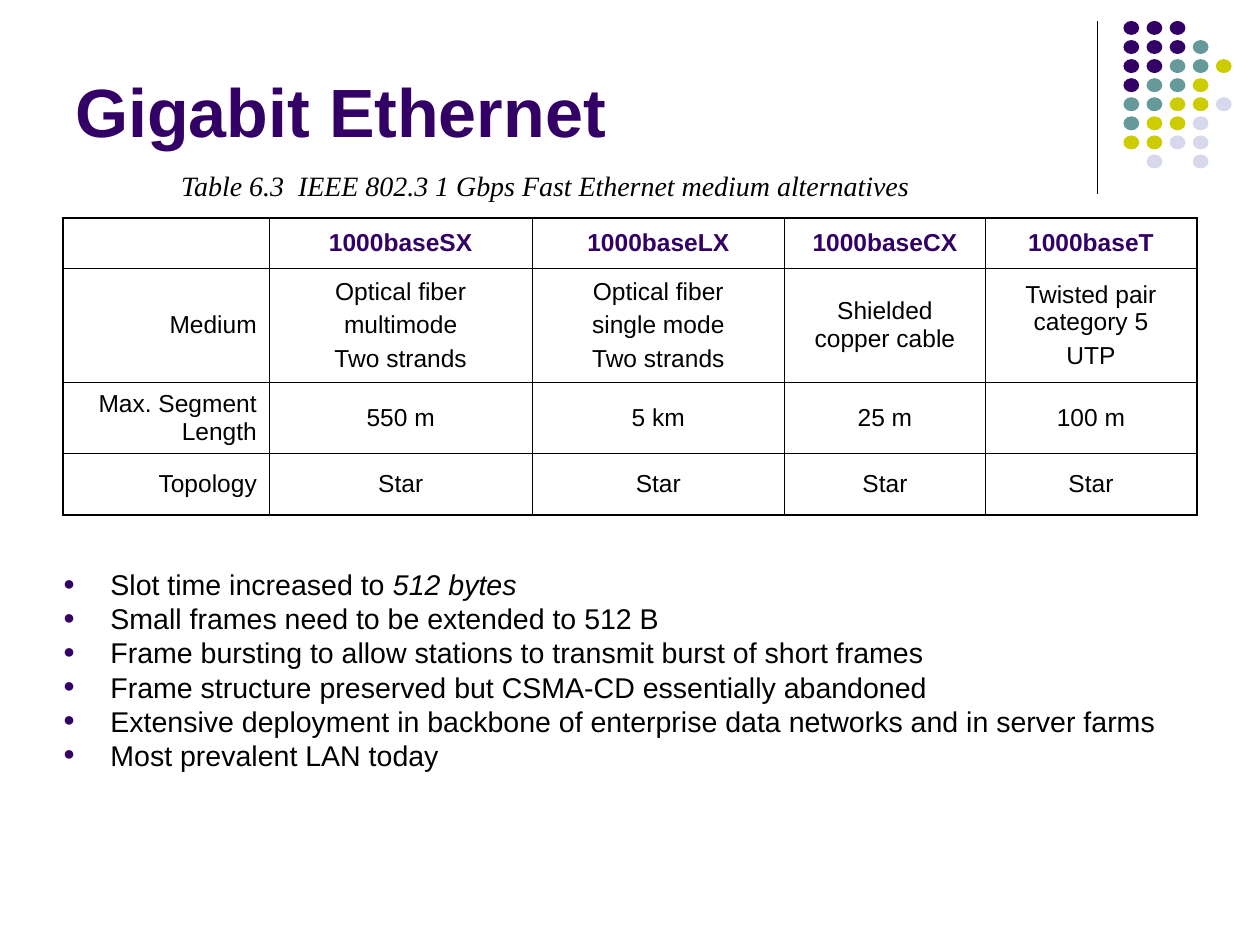
from lxml import etree
from pptx import Presentation
from pptx.dml.color import RGBColor
from pptx.enum import shapes, text
from pptx.oxml import ns
from pptx.util import Pt

COLORS = {"purple": "330066", "teal": "669999", "olive": "CCCC00",
          "lilac": "D8D8EC", "black": "000000"}
CENTER, RIGHT = text.PP_ALIGN.CENTER, text.PP_ALIGN.RIGHT
MIDDLE, BOTTOM = text.MSO_ANCHOR.MIDDLE, text.MSO_ANCHOR.BOTTOM

TITLE = {"name": "Arial", "size": Pt(39), "bold": True, "color": "purple"}
CAPTION = {"name": "Times New Roman", "size": Pt(16), "italic": True, "color": "black"}
HEADER = {"name": "Arial", "size": Pt(14), "bold": True, "color": "purple"}
CELL = {"name": "Arial", "size": Pt(14), "bold": False, "color": "black"}
BODY = {"name": "Arial", "size": Pt(16.3), "color": "black"}
EMPHASIS = {**BODY, "italic": True}

DOT_COLORS = {"P": "purple", "T": "teal", "O": "olive", "L": "lilac"}
DOT_ROWS = ["PPP", "PPPT", "PPTTO", "PTTO", "TTOOL", "TOOL", "OOLL", ".L.L"]

COLUMN_WIDTHS = [118, 150, 144.5, 114.5, 121]
ROW_HEIGHTS = [28.5, 65, 40.5, 35]
TABLE_ROWS = [
    ["", "1000baseSX", "1000baseLX", "1000baseCX", "1000baseT"],
    ["Medium", "Optical fiber\nmultimode\nTwo strands",
     "Optical fiber\nsingle mode\nTwo strands", "Shielded copper cable",
     "Twisted pair category 5\nUTP"],
    ["Max. Segment Length", "550 m", "5 km", "25 m", "100 m"],
    ["Topology", "Star", "Star", "Star", "Star"],
]
# First-line indents that pull a centred line to the left
FIRST_LINE_INDENTS = {(1, 1): -3.9, (1, 2): -11.7}

BULLETS = [
    [("Slot time increased to ", BODY), ("512 bytes", EMPHASIS)],
    [("Small frames need to be extended to 512 B", BODY)],
    [("Frame bursting to allow stations to transmit burst of short frames", BODY)],
    [("Frame structure preserved but CSMA-CD essentially abandoned", BODY)],
    [("Extensive deployment in backbone of enterprise data networks"
      " and in server farms", BODY)],
    [("Most prevalent LAN today", BODY)],
]


def rgb(name):
    return RGBColor.from_string(COLORS[name])


def add_element(parent, tag, **attributes):
    element = etree.SubElement(parent, ns.qn(tag))
    for key, value in attributes.items():
        element.set(key, str(value))
    return element


def add_span(para, words, style):
    span = para.add_run()
    span.text = words
    for key, value in style.items():
        if key == "color":
            span.font.color.rgb = rgb(value)
        else:
            setattr(span.font, key, value)


def add_box(page, left, top, width, height, **frame_format):
    box = page.shapes.add_textbox(Pt(left), Pt(top), Pt(width), Pt(height))
    for key, value in {"word_wrap": True, **frame_format}.items():
        setattr(box.text_frame, key, value)
    return box.text_frame


def add_divider(page, x, top, bottom):
    line = page.shapes.add_connector(
        shapes.MSO_CONNECTOR.STRAIGHT, Pt(x), Pt(top), Pt(x), Pt(bottom))
    line.line.color.rgb = rgb("black")
    line.line.width = Pt(0.75)
    add_element(line._element.spPr, "a:effectLst")


def add_dots(page, left, top, step_x, step_y):
    group = page.shapes.add_group_shape()
    for row, letters in enumerate(DOT_ROWS):
        for column, letter in enumerate(letters):
            if letter not in DOT_COLORS:
                continue
            dot = group.shapes.add_shape(
                shapes.MSO_SHAPE.OVAL, Pt(left + column * step_x),
                Pt(top + row * step_y), Pt(9), Pt(8))
            dot.shadow.inherit = False
            dot.fill.solid()
            dot.fill.fore_color.rgb = rgb(DOT_COLORS[letter])
            dot.line.fill.background()


def set_borders(cell, outer_sides):
    """Draw all four sides, heavier where the cell meets the table edge."""
    properties = cell._tc.get_or_add_tcPr()
    for side in "LRTB":
        width = Pt(1.08 if side in outer_sides else 0.45)
        border = add_element(properties, f"a:ln{side}", w=width)
        fill = add_element(border, "a:solidFill")
        add_element(fill, "a:srgbClr", val=COLORS["black"])


def fill_cell(cell, words, style, alignment, first_indent):
    cell.vertical_anchor = MIDDLE
    for index, line in enumerate(words.split("\n") if words else []):
        frame = cell.text_frame
        para = frame.add_paragraph() if index else frame.paragraphs[0]
        para.alignment = alignment
        para.space_before = Pt(3.5)
        add_span(para, line, style)
        if index == 0 and first_indent:
            para._p.get_or_add_pPr().set("indent", str(Pt(first_indent)))


def add_media_table(page, left, top):
    table = page.shapes.add_table(
        len(ROW_HEIGHTS), len(COLUMN_WIDTHS), Pt(left), Pt(top),
        Pt(sum(COLUMN_WIDTHS)), Pt(sum(ROW_HEIGHTS))).table
    table.first_row = table.horz_banding = False
    for column, width in zip(table.columns, COLUMN_WIDTHS):
        column.width = Pt(width)
    last_row, last_column = len(ROW_HEIGHTS) - 1, len(COLUMN_WIDTHS) - 1
    for r, (height, entries) in enumerate(zip(ROW_HEIGHTS, TABLE_ROWS)):
        table.rows[r].height = Pt(height)
        for c, words in enumerate(entries):
            cell = table.cell(r, c)
            fill_cell(cell, words, CELL if r else HEADER, CENTER if c else RIGHT,
                      FIRST_LINE_INDENTS.get((r, c)))
            edges = {"L": c == 0, "R": c == last_column, "T": r == 0, "B": r == last_row}
            set_borders(cell, [side for side, outer in edges.items() if outer])
            cell.fill.background()


def add_bullets(frame):
    for index, spans in enumerate(BULLETS):
        para = frame.add_paragraph() if index else frame.paragraphs[0]
        para.line_spacing = 0.73
        para.space_before = Pt(5.2)
        properties = para._p.get_or_add_pPr()
        properties.set("marL", str(Pt(27)))
        properties.set("indent", str(Pt(-27)))
        color = add_element(properties, "a:buClr")
        add_element(color, "a:srgbClr", val=COLORS["purple"])
        add_element(properties, "a:buSzPct", val=70000)
        add_element(properties, "a:buFont", typeface="Arial")
        add_element(properties, "a:buChar", char="●")
        for words, style in spans:
            add_span(para, words, style)


def main():
    deck = Presentation()
    deck.slide_width, deck.slide_height = Pt(720), Pt(540)
    page = deck.slides.add_slide(deck.slide_layouts[6])
    add_divider(page, 627, 12, 111)
    add_dots(page, 642, 12, 13.2, 10.9)
    title = add_box(page, 36, 9, 594, 81, vertical_anchor=BOTTOM)
    add_span(title.paragraphs[0], "Gigabit Ethernet", TITLE)
    caption = add_box(page, 96.5, 92.5, 432, 26.5, vertical_anchor=MIDDLE, word_wrap=False)
    add_span(caption.paragraphs[0],
             "Table 6.3  IEEE 802.3 1 Gbps Fast Ethernet medium alternatives", CAPTION)
    add_media_table(page, 36, 124.5)
    add_bullets(add_box(page, 29, 325.5, 671, 135.5))
    deck.save("out.pptx")


if __name__ == "__main__":
    main()
